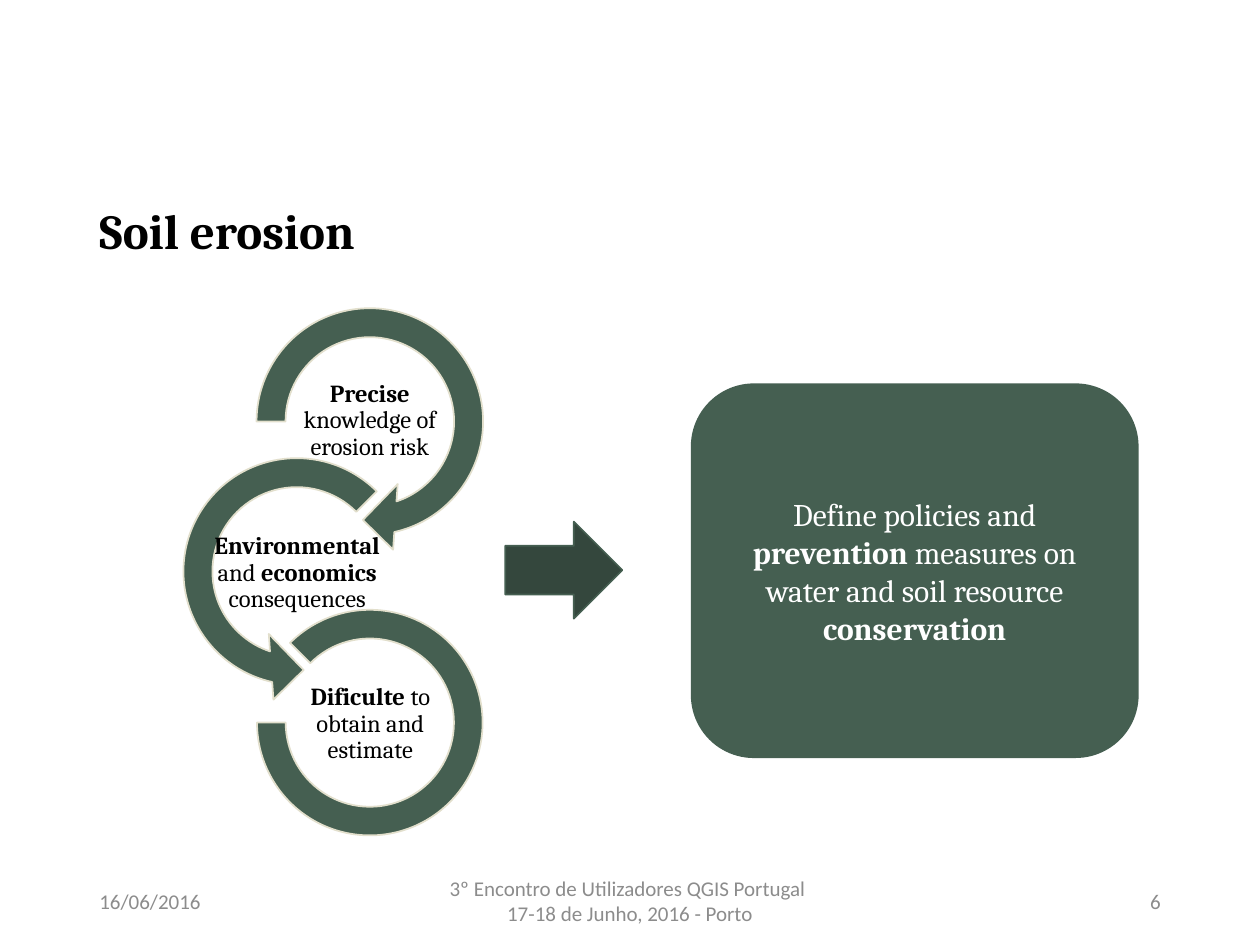
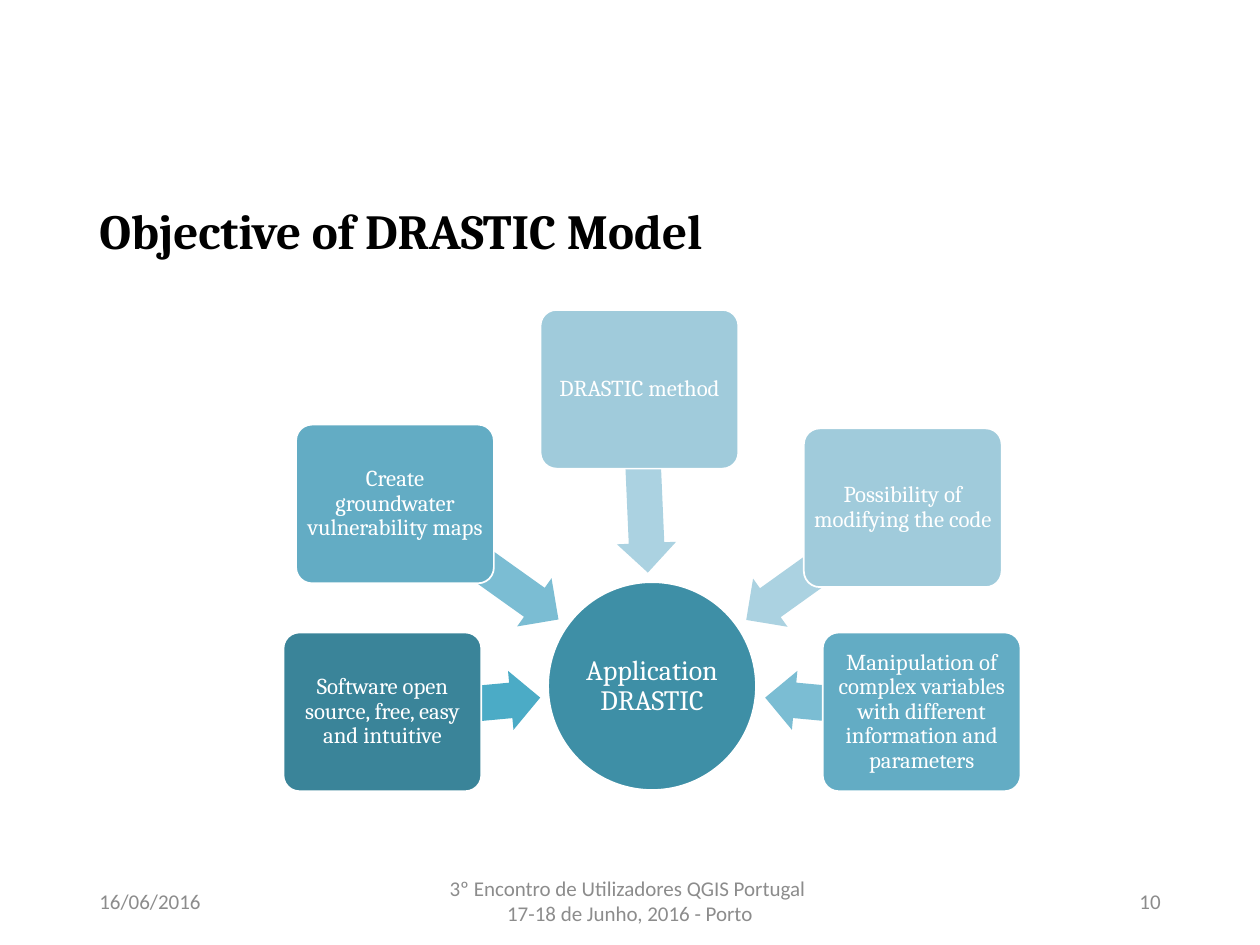
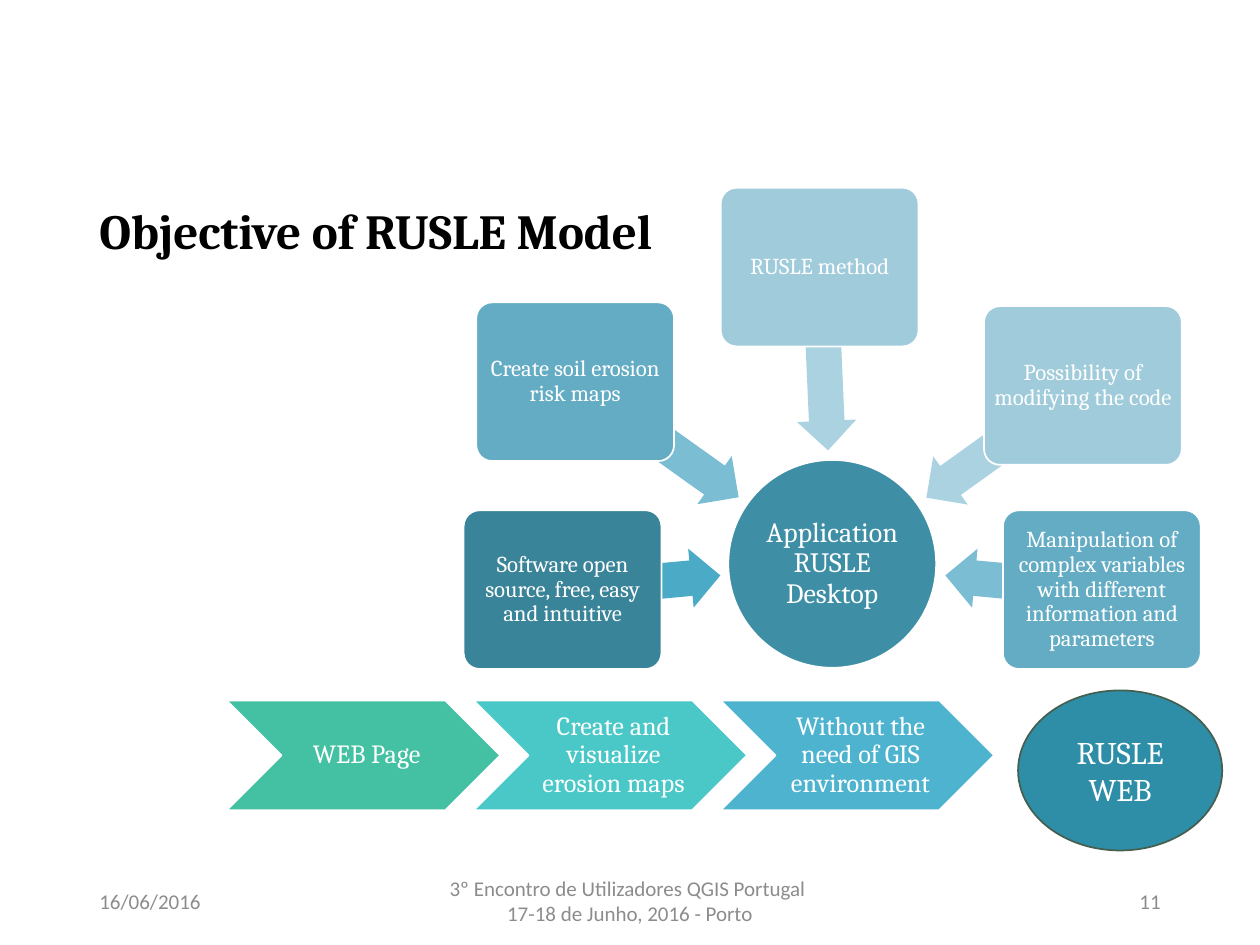
import pptx
import pptx.util
import pptx.dml.color
import pptx.enum.shapes
import pptx.enum.text

Inches = pptx.util.Inches
SHAPE = pptx.enum.shapes.MSO_SHAPE
ALIGN = pptx.enum.text.PP_ALIGN

COLORS = {
    "black": "000000", "white": "FFFFFF", "grey": "8C8C8C",
    "green": "455F51", "dark_green": "34473D", "sand": "E2DFCC",
    "hub": "3E8FA6", "web": "2E8EA8",
    "deep": "3A8499", "medium": "63ACC4", "pale": "A0CBDB",
    "deep_arrow": "4BABC6", "medium_arrow": "7BBDD3", "pale_arrow": "ABD2E1",
    "mint": "44C1A3", "turquoise": "49C8C7", "sky": "4EB3CF",
}
HEADING_FONT, FOOTER_FONT = "Cambria", "Calibri"
DATE = "16/06/2016"
EVENT = ["3º Encontro de Utilizadores QGIS Portugal ", "17-18 de Junho, 2016 - Porto"]

HUB_SIZE = 1.65
SPOKE_WIDTH, SPOKE_HEIGHT = 1.57, 1.26
ARROW_HEIGHT = 0.47
# Box offset, arrow offset (both from the hub corner), arrow length, rotation, tone
SPOKES = [
    ((-2.1, 0.4), (-1.32, 0.74), 1.26, 174.7, "deep"),
    ((-2.0, -1.25), (-1.36, -0.4), 1.59, 215.5, "medium"),
    ((-0.06, -2.16), (0.03, -1.04), 1.46, 267.5, "pale"),
    ((2.03, -1.22), (1.43, -0.38), 1.53, 324.4, "pale"),
    ((2.18, 0.4), (1.72, 0.74), 1.25, 5.3, "medium"),
]


def rgb(name):
    return pptx.dml.color.RGBColor.from_string(COLORS[name])


def write(shape, paragraphs, size, color="white", font=HEADING_FONT, align=ALIGN.CENTER,
          bold=False, spacing=None, insets=None):
    """Each paragraph is a string or a list of (text, bold) spans."""
    frame = shape.text_frame
    frame.word_wrap = True
    frame.vertical_anchor = pptx.enum.text.MSO_ANCHOR.MIDDLE
    if insets:
        (frame.margin_left, frame.margin_top,
         frame.margin_right, frame.margin_bottom) = [Inches(inset) for inset in insets]
    for index, spans in enumerate(paragraphs):
        para = frame.add_paragraph() if index else frame.paragraphs[0]
        para.alignment = align
        if spacing:
            para.line_spacing = spacing
        if isinstance(spans, str):
            spans = [(spans, bold)]
        for text, is_bold in spans:
            span = para.add_run()
            span.text = text
            span.font.name = font
            span.font.size = pptx.util.Pt(size)
            span.font.bold = is_bold
            span.font.color.rgb = rgb(color)


def add_text(slide, left, top, width, height, paragraphs, size, **style):
    box = slide.shapes.add_textbox(Inches(left), Inches(top), Inches(width), Inches(height))
    write(box, paragraphs, size, **style)


def add_figure(slide, kind, left, top, width, height, fill, line=None, adjustments=(), rotation=0):
    figure = slide.shapes.add_shape(
        kind, Inches(left), Inches(top), Inches(width), Inches(height))
    figure.shadow.inherit = False
    figure.fill.solid()
    figure.fill.fore_color.rgb = rgb(fill)
    if line:
        figure.line.color.rgb = rgb(line)
        figure.line.width = pptx.util.Pt(1)
    else:
        figure.line.fill.background()
    for index, value in enumerate(adjustments):
        figure.adjustments[index] = value
    figure.rotation = rotation
    return figure


def add_page(deck, title, number):
    """Slide with the shared title and footer."""
    slide = deck.slides.add_slide(deck.slide_layouts[6])
    add_text(slide, 0.69, 1.59, 8.62, 0.52, [title], 28, color="black",
             align=ALIGN.LEFT, bold=True, spacing=0.9)
    footers = [
        (0.69, 2.25, [DATE], ALIGN.LEFT),
        (3.31, 3.38, EVENT, ALIGN.CENTER),
        (7.06, 2.25, [str(number)], ALIGN.RIGHT),
    ]
    for left, width, paragraphs, align in footers:
        add_text(slide, left, 6.95, width, 0.4, paragraphs, 12,
                 color="grey", font=FOOTER_FONT, align=align)
    return slide


def add_radial(slide, left, top, hub_text, spoke_texts):
    """Hub circle with five boxes pointing at it."""
    hub = add_figure(slide, SHAPE.OVAL, left, top, HUB_SIZE, HUB_SIZE, "hub", "white")
    write(hub, [hub_text], 16, spacing=0.9, insets=[0.01] * 4)
    for text, (box_at, arrow_at, length, rotation, tone) in zip(spoke_texts, SPOKES):
        add_figure(slide, SHAPE.LEFT_ARROW, left + arrow_at[0], top + arrow_at[1],
                   length, ARROW_HEIGHT, tone + "_arrow",
                   adjustments=[0.6, 0.5], rotation=rotation)
        box = add_figure(slide, SHAPE.ROUNDED_RECTANGLE, left + box_at[0], top + box_at[1],
                         SPOKE_WIDTH, SPOKE_HEIGHT, tone, "white", [0.1])
        write(box, [text], 13, spacing=0.9, insets=[0.03] * 4)


def add_chevrons(slide, left, top, steps):
    for index, (text, fill) in enumerate(steps):
        chevron = add_figure(slide, SHAPE.CHEVRON, left + index * 1.96, top,
                             2.17, 0.87, fill, "white")
        write(chevron, [text], 15, spacing=0.9, insets=[0.07, 0.02, 0.02, 0.02])


def add_erosion_chain(slide):
    """Three linked ring arrows, each with a label inside."""
    rings = [
        (SHAPE.CIRCULAR_ARROW, 1.89, 2.3, 2.09, [0.11, 11.42, 45, 108, 0.125],
         2.29, 3.05, 1.29, [("Precise", True), (" knowledge of erosion risk", False)]),
        (SHAPE.LEFT_CIRCULAR_ARROW, 1.31, 3.49, 2.09, [0.11, 11.42, 63, 189, 0.125],
         1.68, 4.26, 1.36, [("Environmental", True), (" and ", False),
                            ("economics", True), (" consequences", False)]),
        (SHAPE.BLOCK_ARC, 2.04, 4.84, 1.79, [135, 108, 0.127],
         2.36, 5.46, 1.16, [("Dificulte", True), (" to obtain and estimate", False)]),
    ]
    for kind, left, top, size, adjustments, text_left, text_top, text_width, spans in rings:
        add_figure(slide, kind, left, top, size, size, "green", "sand", adjustments)
        add_text(slide, text_left, text_top, text_width, 0.58, [spans], 14,
                 color="black", spacing=0.9, insets=[0.01] * 4)


def main():
    deck = pptx.Presentation()
    deck.slide_width, deck.slide_height = Inches(10), Inches(7.5)

    # Soil erosion: chain of reasons leading to the goal
    slide = add_page(deck, "Soil erosion", 6)
    add_erosion_chain(slide)
    add_figure(slide, SHAPE.RIGHT_ARROW, 4.01, 4.14, 0.93, 0.77, "dark_green", "green")
    goal = add_figure(slide, SHAPE.ROUNDED_RECTANGLE, 5.49, 3.05, 3.54, 2.96, "green", "green")
    write(goal, [[("Define policies and ", False), ("prevention", True),
                  (" measures on water and soil resource ", False),
                  ("conservation", True)]], 18)

    # DRASTIC and RUSLE share the radial diagram
    software = "Software open source, free, easy and intuitive"
    code = "Possibility of modifying the code"
    variables = "Manipulation of complex variables with different information and parameters"

    slide = add_page(deck, "Objective of DRASTIC Model", 10)
    add_radial(slide, 4.35, 4.62, "Application DRASTIC",
               [software, "Create groundwater vulnerability maps", "DRASTIC method",
                code, variables])

    slide = add_page(deck, "Objective of RUSLE Model", 11)
    add_radial(slide, 5.78, 3.65, "Application RUSLE Desktop",
               [software, "Create soil erosion risk maps", "RUSLE method",
                code, variables])

    # Web version
    add_chevrons(slide, 1.8, 5.56, [
        ("WEB Page", "mint"),
        ("Create and visualize erosion maps", "turquoise"),
        ("Without the need of GIS environment", "sky"),
    ])
    web = add_figure(slide, SHAPE.OVAL, 8.08, 5.48, 1.62, 1.27, "web", "green")
    write(web, ["RUSLE WEB"], 18)

    deck.save("out.pptx")


if __name__ == "__main__":
    main()
